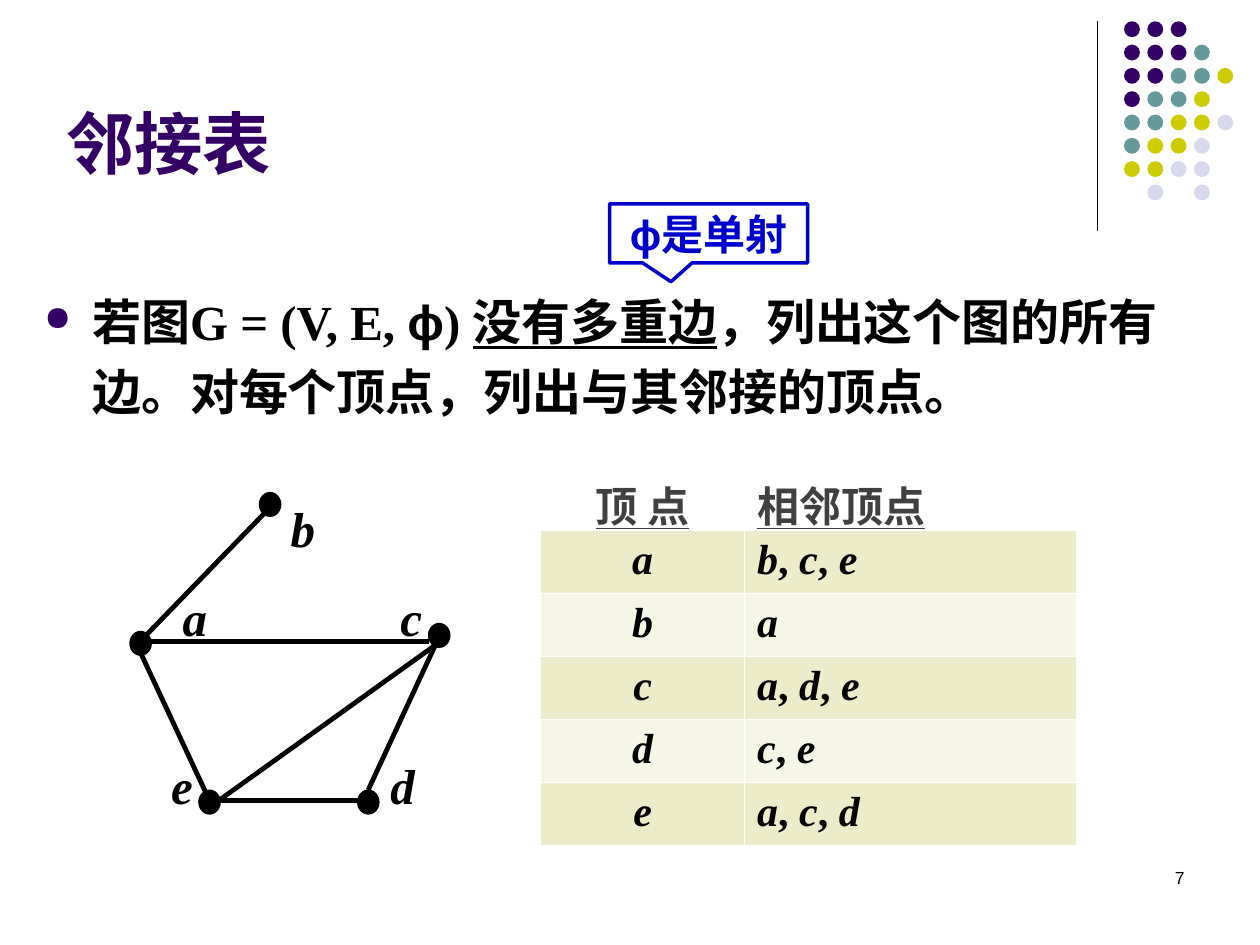
from dataclasses import dataclass

from lxml import etree
from pptx import Presentation
from pptx.dml.color import RGBColor
from pptx.enum.shapes import MSO_CONNECTOR, MSO_SHAPE
from pptx.enum.text import MSO_ANCHOR, PP_ALIGN
from pptx.oxml.ns import qn
from pptx.util import Cm, Pt

LINE = MSO_CONNECTOR.STRAIGHT
OVAL, CALLOUT = MSO_SHAPE.OVAL, MSO_SHAPE.RECTANGULAR_CALLOUT
LEFT, CENTER, RIGHT = PP_ALIGN.LEFT, PP_ALIGN.CENTER, PP_ALIGN.RIGHT
TOP, MIDDLE, BOTTOM = MSO_ANCHOR.TOP, MSO_ANCHOR.MIDDLE, MSO_ANCHOR.BOTTOM


@dataclass(frozen=True)
class Theme:
    ink: str = "000000"
    purple: str = "330066"
    teal: str = "669999"
    olive: str = "CCCC00"
    lilac: str = "D8D8EC"
    blue: str = "0000CC"
    grey: str = "404040"
    white: str = "FFFFFF"
    bands: tuple = ("ECECCB", "F6F6E7")
    serif: str = "Times New Roman"
    sans: str = "Arial"
    cjk: str = "Noto Sans CJK SC"
    title: int = 39
    body: int = 28
    cell: int = 24
    small: int = 10


class SlideBuilder:
    def __init__(self, slide, theme):
        self.s, self.t = slide, theme

    def add_runs(self, p, runs, size, color, align=LEFT, bold=True):
        """Each run is (text, font, "i" and/or "u")."""
        p.alignment = align
        for text, font, marks in runs:
            r = p.add_run()
            r.text = text
            r.font.name, r.font.size = font, Pt(size)
            r.font.color.rgb = RGBColor.from_string(color)
            r.font.bold = bold
            r.font.italic, r.font.underline = "i" in marks, "u" in marks
            ea = etree.SubElement(r._r.get_or_add_rPr(), qn("a:ea"))
            ea.set("typeface", self.t.cjk)

    def text(self, x, y, w, h, runs, size, color, align=LEFT, anchor=TOP, bold=True):
        tf = self.s.shapes.add_textbox(Cm(x), Cm(y), Cm(w), Cm(h)).text_frame
        tf.word_wrap, tf.vertical_anchor = True, anchor
        self.add_runs(tf.paragraphs[0], runs, size, color, align, bold)
        return tf.paragraphs[0]

    def bullet(self, x, y, w, h, runs, size, color):
        p = self.text(x, y, w, h, runs, size, color)
        p.line_spacing = 1.2
        pPr = p._p.get_or_add_pPr()
        pPr.set("marL", str(Cm(0.97)))
        pPr.set("indent", str(-Cm(0.97)))
        clr = etree.SubElement(pPr, qn("a:buClr"))
        etree.SubElement(clr, qn("a:srgbClr")).set("val", self.t.purple)
        etree.SubElement(pPr, qn("a:buSzPct")).set("val", "70000")
        etree.SubElement(pPr, qn("a:buChar")).set("char", "●")

    def shape(self, kind, x, y, w, h, fill=None, line=None, width=0.75):
        sp = self.s.shapes.add_shape(kind, Cm(x), Cm(y), Cm(w), Cm(h))
        sp.shadow.inherit = False
        if fill:
            sp.fill.solid()
            sp.fill.fore_color.rgb = RGBColor.from_string(fill)
        else:
            sp.fill.background()
        if line:
            sp.line.color.rgb = RGBColor.from_string(line)
            sp.line.width = Pt(width)
        else:
            sp.line.fill.background()
        return sp

    def callout(self, x, y, w, h, runs, size, color, tip):
        sp = self.shape(CALLOUT, x, y, w, h, line=color, width=2)
        sp.adjustments[0], sp.adjustments[1] = tip
        tf = sp.text_frame
        tf.word_wrap, tf.vertical_anchor = False, MIDDLE
        self.add_runs(tf.paragraphs[0], runs, size, color, CENTER)

    def line(self, x1, y1, x2, y2, width):
        c = self.s.shapes.add_connector(LINE, Cm(x1), Cm(y1), Cm(x2), Cm(y2))
        c.line.color.rgb = RGBColor.from_string(self.t.ink)
        c.line.width = Pt(width)
        etree.SubElement(c._element.spPr, qn("a:effectLst"))

    def border(self, cell, side, width):
        ln = etree.SubElement(cell._tc.get_or_add_tcPr(), qn("a:" + side))
        ln.set("w", str(Pt(width)))
        fill = etree.SubElement(ln, qn("a:solidFill"))
        etree.SubElement(fill, qn("a:srgbClr")).set("val", self.t.white)

    def table(self, x, y, widths, row_h, header, rows):
        t = self.t
        n = len(rows) + 1
        tbl = self.s.shapes.add_table(n, len(widths), Cm(x), Cm(y),
                                      Cm(sum(widths)), Cm(row_h * n)).table
        for col, w in zip(tbl.columns, widths):
            col.width = Cm(w)
        for i, values in enumerate([header, *rows]):
            tbl.rows[i].height = Cm(row_h)
            for j, value in enumerate(values):
                cell = tbl.cell(i, j)
                for side in ("lnL", "lnR", "lnT", "lnB"):
                    heavy = (i, side) in ((0, "lnB"), (1, "lnT"))
                    self.border(cell, side, 1.47 if heavy else 0.45)
                if i == 0:
                    cell.fill.background()
                    runs, color = [(value, t.sans, "u")], t.grey
                else:
                    cell.fill.solid()
                    cell.fill.fore_color.rgb = RGBColor.from_string(t.bands[(i - 1) % 2])
                    runs, color = self.vertex_list(value), t.ink
                self.add_runs(cell.text_frame.paragraphs[0], runs, t.cell, color,
                              LEFT if j else CENTER)

    def vertex_list(self, names):
        runs = []
        for k, name in enumerate(names):
            if k:
                runs.append((", ", self.t.serif, ""))
            runs.append((name, self.t.serif, "i"))
        return runs


def main():
    prs = Presentation()
    prs.slide_width, prs.slide_height = Cm(25.4), Cm(19.05)
    t = Theme()
    b = SlideBuilder(prs.slides.add_slide(prs.slide_layouts[6]), t)

    # Corner ornament: rule and dot grid
    b.line(22.12, 0.43, 22.12, 4.65, 0.75)
    dots = ["PPP", "PPPT", "PPTTO", "PTTO", "TTOOL", "TOOL", "OOLL", " L L"]
    colors = {"P": t.purple, "T": t.teal, "O": t.olive, "L": t.lilac}
    pitch = 0.47
    for i, row in enumerate(dots):
        for j, key in enumerate(row):
            if key in colors:
                b.shape(OVAL, 22.66 + pitch * j, 0.43 + pitch * i, 0.32, 0.32, colors[key])

    # Title, statement and callout
    b.text(1.09, 1.52, 23.7, 2.29, [("邻接表", t.cjk, "")], t.title, t.purple, anchor=BOTTOM)
    b.bullet(0.64, 5.51, 23.67, 3.61, [
        ("若图G = (V, E, ", t.serif, ""), ("ϕ", t.sans, ""), (") ", t.serif, ""),
        ("没有多重边", t.serif, "u"),
        ("，列出这个图的所有边。对每个顶点，列出与其邻接的顶点。", t.serif, "")],
        t.body, t.ink)
    b.callout(12.29, 4.11, 3.99, 1.19, [("ϕ", t.sans, ""), ("是单射", t.serif, "")],
              t.cell, t.blue, (-0.19, 0.82))

    # Adjacency table
    adjacency = {"a": "bce", "b": "a", "c": "ade", "d": "ce", "e": "acd"}
    b.table(10.9, 9.42, (4.11, 6.68), 1.27, ("顶 点", "相邻顶点"), adjacency.items())

    # Graph: edges, then vertices with their labels
    edges = [(2.95, 12.8, 5.54, 10.13), (8.81, 12.98, 4.42, 16.13),
             (8.81, 12.93, 7.42, 15.93), (8.64, 12.93, 2.82, 12.93),
             (2.82, 13.13, 4.22, 16.13), (7.42, 16.13, 4.22, 16.13)]
    for edge in edges:
        b.line(*edge, 2.75)
    vertices = {"a": ((2.62, 12.73), (3.43, 11.71)), "b": ((5.23, 9.93), (5.61, 9.93)),
                "c": ((8.64, 12.57), (7.82, 11.71)), "d": ((7.21, 15.93), (7.62, 15.11)),
                "e": ((4.01, 15.93), (3.2, 15.11))}
    for name, (dot, label) in vertices.items():
        b.shape(OVAL, *dot, 0.43, 0.48, t.ink, t.ink)
        b.text(*label, 0.99, 1.45, [(name, t.serif, "i")], t.body, t.ink)

    # Slide number
    b.text(18.21, 17.35, 5.92, 1.27, [("7", t.sans, "")], t.small, t.ink, RIGHT, bold=False)

    prs.save("out.pptx")


if __name__ == "__main__":
    main()
